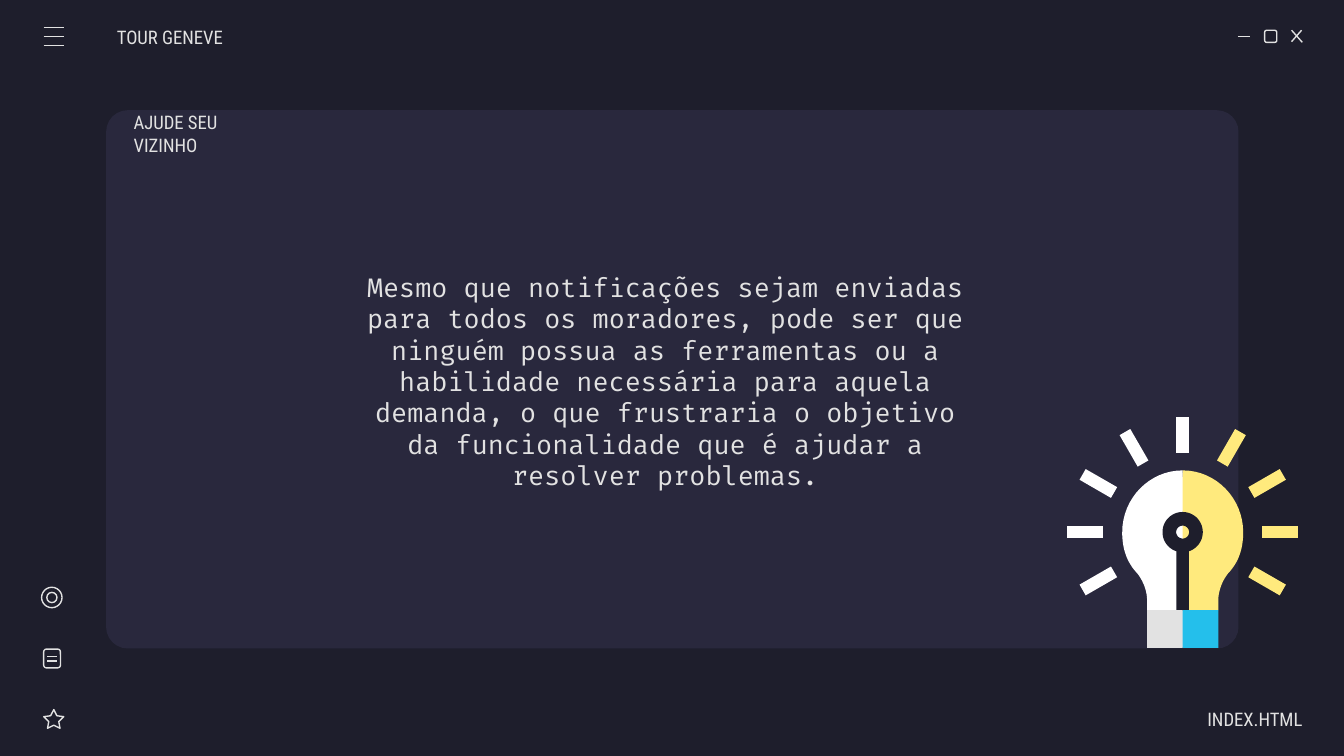
from collections import namedtuple
from math import cos, sin, radians

from lxml.etree import SubElement
from pptx import Presentation
from pptx.dml.color import RGBColor
from pptx.enum.shapes import MSO_CONNECTOR, MSO_SHAPE as Shape
from pptx.enum.text import MSO_ANCHOR, PP_ALIGN as Align
from pptx.oxml.ns import qn
from pptx.util import Inches, Pt

# The page is a grid of 100 columns by 56.25 rows, in square cells
COLUMNS, ROWS = 100, 56.25
CELL = Inches(10) / COLUMNS
NIGHT, PANEL, LIGHT = "1E1E2C", "29283D", "E2E2E2"
WHITE, YELLOW, BLUE = "FFFFFF", "FFEA7D", "24BFEB"

Box = namedtuple("Box", "left top width height")


def cells(count):
    return round(count * CELL)


def color(code):
    return RGBColor.from_string(code)


def place(box, x, y, width, height):
    """Box at an offset from the corner of another box."""
    return Box(box.left + x, box.top + y, width, height)


def style(shape, fill=None, line=None):
    shape.shadow.inherit = False
    if fill:
        shape.fill.solid()
        shape.fill.fore_color.rgb = color(fill)
    else:
        shape.fill.background()
    if line:
        shape.line.color.rgb = color(line)
        shape.line.width = Pt(0.75)
    else:
        shape.line.fill.background()


def add_preset(page, kind, box, fill=None, line=None, adjust=None):
    shape = page.shapes.add_shape(kind, *map(cells, box))
    style(shape, fill, line)
    if adjust is not None:
        shape.adjustments[0] = adjust


def add_line(page, box):
    """Line from the top left to the bottom right of the box."""
    x, y, width, height = box
    ends = map(cells, (x, y, x + width, y + height))
    line = page.shapes.add_connector(MSO_CONNECTOR.STRAIGHT, *ends)
    line.line.color.rgb = color(LIGHT)
    line.line.width = Pt(0.75)
    SubElement(line._element.spPr, qn("a:effectLst"))


def add_text(page, box, text, font="Roboto Condensed", size=10, align=Align.LEFT):
    frame = page.shapes.add_textbox(*map(cells, box)).text_frame
    frame.word_wrap = True
    frame.vertical_anchor = MSO_ANCHOR.MIDDLE
    frame.margin_left = cells(1 if align == Align.RIGHT else 0)
    frame.margin_right = cells(0 if align == Align.RIGHT else 1)
    frame.margin_top = frame.margin_bottom = cells(1)
    frame.text = text
    para = frame.paragraphs[0]
    para.alignment = align
    para.line_spacing = 1.0
    span = para.runs[0]
    span.font.name = font
    span.font.size = Pt(size)
    span.font.color.rgb = color(LIGHT)


def add_outline(page, center, fill, *contours):
    """Closed outlines, with points relative to the center."""
    builder = None
    for contour in contours:
        points = [(cells(center[0] + x), cells(center[1] + y)) for x, y in contour]
        if builder is None:
            builder = page.shapes.build_freeform(*points[0], scale=1.0)
        else:
            builder.move_to(*points[0])
        builder.add_line_segments(points[1:], close=True)
    style(builder.convert_to_shape(), fill)


def curve(start, first, second, end, steps=16):
    """Points along a cubic curve."""
    def blend(t, a, b, c, d):
        u = 1 - t
        return u**3 * a + 3 * u * u * t * b + 3 * u * t * t * c + t**3 * d
    return [tuple(blend(i / steps, *axis) for axis in zip(start, first, second, end))
            for i in range(steps + 1)]


def arc(radius, first, last, step=6):
    return [(radius * cos(radians(a)), radius * sin(radians(a)))
            for a in range(first, last + 1, step)]


def draw_window_buttons(page, box):
    # Minimize, maximize, close
    add_line(page, place(box, 0, 0.45, 0.9, 0))
    add_preset(page, Shape.ROUNDED_RECTANGLE, place(box, 2, 0, 0.9, 0.9), line=LIGHT)
    add_line(page, place(box, 4, 0, 0.8, 0.9))
    add_line(page, place(box, 4.75, 0, -0.75, 0.85))


def draw_header(page, box):
    # Menu icon
    for row in range(3):
        add_line(page, place(box, 3.25, 2.05 + row * 0.66, 1.5, 0))
    add_text(page, place(box, 8.7, 1.25, 11.7, 3), "TOUR GENEVE")
    draw_window_buttons(page, place(box, 92.1, 2.25, 4.8, 0.9))


def draw_sidebar(page, box):
    # Target
    for inset in (0, 0.38):
        side = 1.52 - 2 * inset
        add_preset(page, Shape.OVAL, place(box, inset, inset, side, side), line=LIGHT)
    # Note
    add_preset(page, Shape.ROUNDED_RECTANGLE, place(box, 0.15, 4.6, 1.25, 1.4), line=LIGHT)
    for y in (5.13, 5.48):
        add_line(page, place(box, 0.4, y, 0.75, 0))
    # Star
    add_preset(page, Shape.STAR_5_POINT, place(box, 0.15, 9.1, 1.5, 1.4), line=LIGHT, adjust=0.25)


def draw_panel(page, box):
    add_preset(page, Shape.ROUNDED_RECTANGLE, box, PANEL, adjust=0.04)
    add_text(page, place(box, 2.05, 0.25, 11.7, 3), "AJUDE SEU VIZINHO")
    add_text(page, place(box, 18.8, 8, 46.6, 24.3),
             "Mesmo que notificações sejam enviadas para todos os moradores, "
             "pode ser que ninguém possua as ferramentas ou a habilidade "
             "necessária para aquela demanda, o que frustraria o objetivo da "
             "funcionalidade que é ajudar a resolver problemas.",
             "Fira Code", 14, Align.CENTER)


def draw_bulb(page, box):
    center = (box.left + box.width / 2, box.top + box.height / 2)
    # Glass, one half per side; the right half reaches under the left one
    half = (curve((0, -4.6), (2.5, -4.6), (4.5, -2.5), (4.5, 0))
            + curve((4.5, 0), (4.5, 1.2), (4.2, 2.2), (3.35, 3.1))
            + curve((3.35, 3.1), (2.9, 3.7), (2.65, 4.4), (2.65, 5.1)) + [(2.65, 5.8)])
    halves = ((1, YELLOW, BLUE, -0.7), (-1, WHITE, LIGHT, 0))
    for side, glass, _, inner in halves:
        add_outline(page, center, glass, [(side * x, y) for x, y in half] + [(inner, 6.5)])
    # Rays every 30 degrees around the glass
    for angle in range(-210, 31, 30):
        along, across = cos(radians(angle)), sin(radians(angle))
        corners = [(5.9, -0.46), (8.6, -0.46), (8.6, 0.46), (5.9, 0.46)]
        add_outline(page, center, YELLOW if angle > -90 else WHITE,
                    [(r * along - s * across, r * across + s * along) for r, s in corners])
    # Filament: ring with a stem
    add_outline(page, center, NIGHT, arc(0.48, 0, 354),
                arc(1.5, 108, 432) + [(0.46, 6.5), (-0.46, 6.5)])
    # Socket
    for side, _, socket, inner in halves:
        add_outline(page, center, socket,
                    [(0, 5.8), (inner, 7.2), (0, 8.6), (side * 2.65, 8.6), (side * 2.65, 5.8)])


def main():
    deck = Presentation()
    deck.slide_width, deck.slide_height = cells(COLUMNS), cells(ROWS)
    page = deck.slides.add_slide(deck.slide_layouts[6])
    page.background.fill.solid()
    page.background.fill.fore_color.rgb = color(NIGHT)

    draw_panel(page, Box(7.9, 8.2, 84.25, 40.05))
    draw_header(page, Box(0, 0, COLUMNS, 5))
    draw_sidebar(page, Box(3.1, 43.7, 1.6, 10.5))
    add_text(page, Box(85.2, 52, 11.7, 3), "INDEX.HTML", align=Align.RIGHT)
    draw_bulb(page, Box(79.45, 31, 17.1, 17.2))
    deck.save("out.pptx")


if __name__ == "__main__":
    main()
